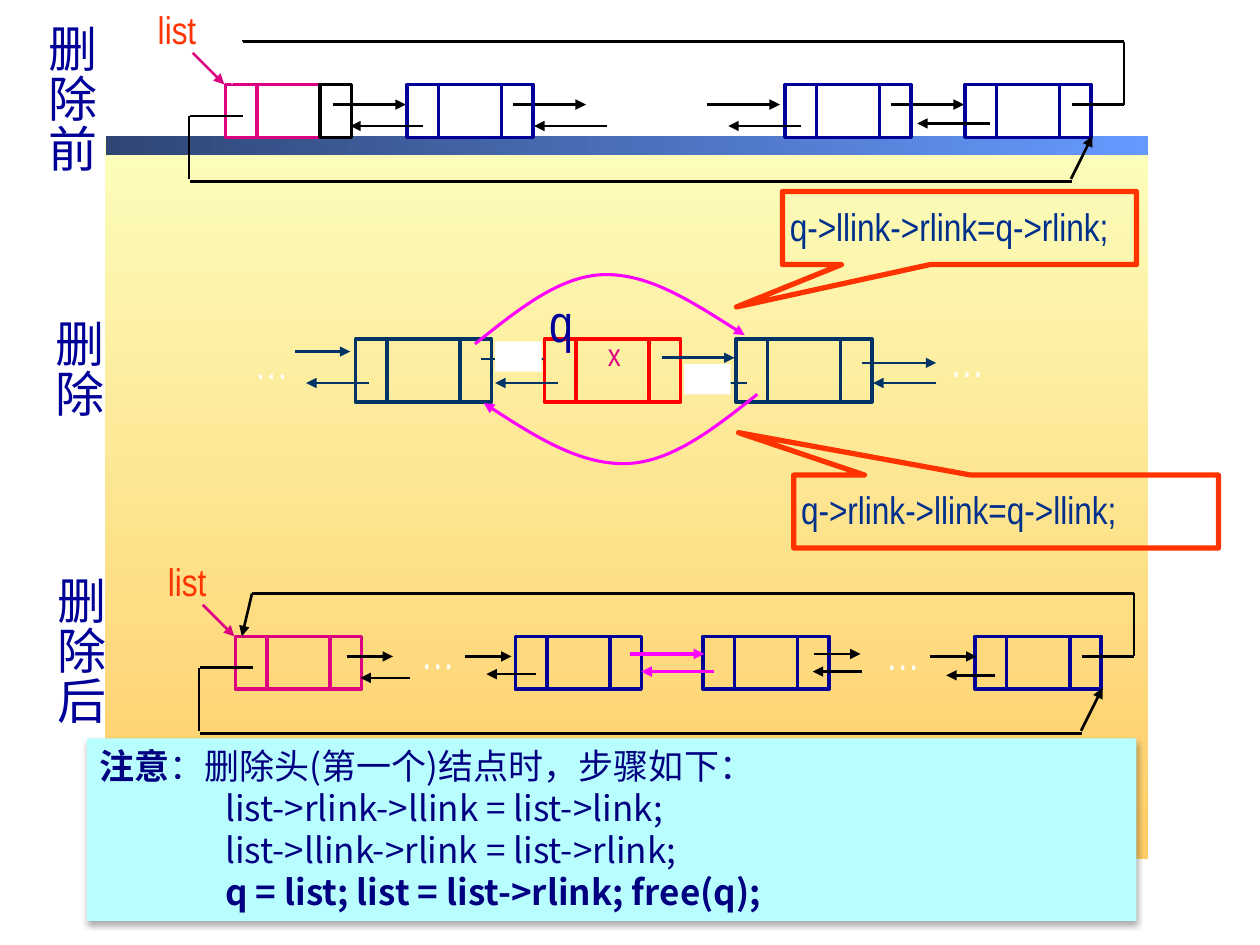
from dataclasses import dataclass

from lxml import etree
from pptx import Presentation
from pptx.dml.color import RGBColor
from pptx.enum.shapes import MSO_CONNECTOR, MSO_SHAPE
from pptx.enum.text import MSO_ANCHOR, PP_ALIGN
from pptx.oxml.ns import qn
from pptx.util import Inches, Pt

RECTANGLE, CALLOUT = MSO_SHAPE.RECTANGLE, MSO_SHAPE.RECTANGULAR_CALLOUT
STRAIGHT = MSO_CONNECTOR.STRAIGHT
LEFT, CENTER, JUSTIFY = PP_ALIGN.LEFT, PP_ALIGN.CENTER, PP_ALIGN.JUSTIFY
TOP = MSO_ANCHOR.TOP

# The slide is a grid of 100 columns by 75 rows of square cells
COLUMNS, ROWS = 100, 75
CELL = Inches(0.1)


@dataclass(frozen=True)
class Theme:
    latin: str = "Arial Narrow"
    asian: str = "Noto Sans CJK SC"
    black: str = "000000"
    white: str = "FFFFFF"
    navy: str = "000099"
    teal: str = "003366"
    head: str = "DC0081"
    deleted: str = "FF0000"
    relinked: str = "FF00FF"
    accent: str = "FF3300"
    code: str = "002F8C"
    note: str = "000080"
    note_fill: str = "B9FEFF"
    panel: tuple = ("FCFEBC", "FFCC66")
    bar: tuple = ("2F4675", "6699FF")
    caption_size: int = 28
    pointer_size: int = 30
    dots_size: int = 24
    label_size: int = 22
    note_size: int = 20
    value_size: int = 18
    thin: float = 1.5
    curve: float = 1.75
    edge: float = 2
    callout: float = 3


@dataclass(frozen=True)
class Node:
    """A list node: left link, data and right link."""
    left: float
    top: float
    color: str
    data: float = 5
    height: float = 4.2
    right_color: str = ""


@dataclass(frozen=True)
class Arrow:
    """A horizontal link from one column to another."""
    start: float
    end: float
    row: float


THEME = Theme()
LINK = 2.5
deck = Presentation()
deck.slide_width, deck.slide_height = CELL * COLUMNS, CELL * ROWS
page = deck.slides.add_slide(deck.slide_layouts[6])


def grid(*cells: float) -> list[int]:
    return [round(cell * CELL) for cell in cells]


def rgb(color: str) -> RGBColor:
    return RGBColor.from_string(color)


def style_line(line, color: str, width: float, arrow: bool = False) -> None:
    line.color.rgb, line.width = rgb(color), Pt(width)
    if arrow:
        etree.SubElement(line._get_or_add_ln(), qn("a:tailEnd"), type="triangle")


def add_box(area: tuple, fill="", line: str = "", width: float = THEME.edge, kind=RECTANGLE):
    """fill is one colour, a pair for a gradient, or empty."""
    box = page.shapes.add_shape(kind, *grid(*area))
    box.shadow.inherit = False
    if isinstance(fill, tuple):
        box.fill.gradient()
        for stop, color in zip(box.fill.gradient_stops, fill):
            stop.color.rgb = rgb(color)
    elif fill:
        box.fill.solid()
        box.fill.fore_color.rgb = rgb(fill)
    else:
        box.fill.background()
    if line:
        style_line(box.line, line, width)
    else:
        box.line.fill.background()
    return box


def add_line(x1: float, y1: float, x2: float, y2: float, color: str = THEME.black,
             width: float = THEME.thin, arrow: bool = False) -> None:
    line = page.shapes.add_connector(STRAIGHT, *grid(x1, y1, x2, y2))
    etree.SubElement(line.element.spPr, qn("a:effectLst"))
    style_line(line.line, color, width, arrow)


def add_arrows(arrows: list[Arrow], color: str = THEME.black, width: float = THEME.thin) -> None:
    for link in arrows:
        add_line(link.start, link.row, link.end, link.row, color, width, True)


def add_node(node: Node) -> None:
    right = node.left + LINK + node.data
    for left, width, color in ((node.left + LINK, node.data, node.color),
                               (right, LINK, node.right_color or node.color),
                               (node.left, LINK, node.color)):
        add_box((left, node.top, width, node.height), line=color)


def style_span(span, size: float, color: str, latin: str, bold: bool = False) -> None:
    span.font.size, span.font.bold, span.font.name = Pt(size), bold, latin
    span.font.color.rgb = rgb(color)
    etree.SubElement(span.font._element, qn("a:ea"), typeface=THEME.asian)


def add_text(text: str, area: tuple, size: float, color: str, align=CENTER,
             wrap: bool = False, spacing: float = 1) -> None:
    frame = page.shapes.add_textbox(*grid(*area)).text_frame
    frame.word_wrap = wrap
    frame.text = text
    for para in frame.paragraphs:
        para.alignment, para.line_spacing = align, spacing
        for span in para.runs:
            style_span(span, size, color, THEME.latin)


def add_caption(text: str, area: tuple, wrap: bool = False) -> None:
    add_text(text, area, THEME.caption_size, THEME.navy, wrap=wrap, spacing=0.85)


def add_dots(left: float, top: float) -> None:
    add_text("…", (left, top, 5.3, 5), THEME.dots_size, THEME.white)


def add_curve(start: tuple, *points: tuple) -> None:
    """Cubic curve: each three points are two controls and an end."""
    builder = page.shapes.build_freeform(*grid(*start))
    builder.add_line_segments([grid(*point) for point in points], close=False)
    shape = builder.convert_to_shape()
    shape.shadow.inherit = False
    shape.fill.background()
    style_line(shape.line, THEME.relinked, THEME.curve, True)
    outline = next(shape.element.iter(qn("a:path")))
    segments = outline.findall(qn("a:lnTo"))
    for first in range(0, len(segments), 3):
        cubic = etree.SubElement(outline, qn("a:cubicBezTo"))
        for segment in segments[first:first + 3]:
            cubic.append(segment[0])
            outline.remove(segment)


def add_ring(dx: float, dy: float, return_color: str) -> None:
    """The head label and the two wires that close the circular list."""
    add_text("list", (11.1 + dx, dy, 5.9, 4.7), THEME.label_size, THEME.accent)
    for x1, y1, x2, y2, color, arrow in (
            (15.3, 4.2, 17.8, 6.7, THEME.head, True),
            (85.1, 8.3, 89.2, 8.3, THEME.black, False),
            (19.2, 3.3, 89.2, 3.3, THEME.black, False),
            (89.2, 3.3, 89.2, 8.3, THEME.black, False),
            (19.2, 3.3, 18.4, 6.7, return_color, True),
            (15.1, 9.2, 19.3, 9.2, THEME.black, False),
            (15.1, 14.4, 85.1, 14.4, THEME.black, False),
            (15, 9.2, 15, 14.2, THEME.black, False),
            (85, 14.2, 86.7, 10.8, THEME.black, True)):
        add_line(x1 + dx, y1 + dy, x2 + dx, y2 + dy, color, arrow=arrow)


def add_callout(text: str, area: tuple, tip: tuple, text_width: float) -> None:
    box = add_box(area, line=THEME.accent, width=THEME.callout, kind=CALLOUT)
    box.adjustments[0], box.adjustments[1] = tip
    add_text(text, (area[0] - 0.4, area[1] + 0.4, text_width, 4.7),
             THEME.label_size, THEME.code, LEFT, True)


# Background panel and bar
add_box((8.3, 11, 82.8, 57.2), THEME.panel).fill.gradient_angle = 270
add_box((8.4, 10.8, 82.7, 1.5), THEME.bar).fill.gradient_angle = 0

# Before the deletion
add_arrows([Arrow(x, x + 5.8, 8.3) for x in (26.4, 40.7, 56.1, 70.7)])
add_node(Node(17.9, 6.7, THEME.head, right_color=THEME.black))
for column in (32.3, 62.3, 76.6):
    add_node(Node(column, 6.7, THEME.navy))
add_arrows([Arrow(x, x - 5.8, 10) for x in (33.6, 48.2, 63.6)] + [Arrow(78.6, 72.8, 9.8)])
add_dots(50.1, 5.8)
add_ring(0, 0, THEME.white)
add_caption("删\n除\n前", (2.8, 1.7, 6, 13))

# During the deletion
for column, color in ((28.2, THEME.teal), (58.4, THEME.teal), (43.2, THEME.deleted)):
    add_node(Node(column, 26.9, color, 5.8, 5))
add_text("x", (46.8, 26.1, 3.9, 5.5), THEME.value_size, THEME.head)
add_text("q", (42.6, 22.5, 3.6, 4.3), THEME.pointer_size, THEME.navy)
add_arrows([Arrow(x, x - 5, 30.4) for x in (74.3, 44.3, 59.3, 29.3)]
           + [Arrow(52.5, 58.3, 28.4), Arrow(68.4, 74.3, 28.8),
              Arrow(38.2, 43.2, 28.5), Arrow(23.4, 27.8, 27.9)], THEME.teal)
add_dots(18.9, 26.3)
add_dots(74.1, 26.1)
add_caption("删除", (3.4, 25.1, 5.8, 9), wrap=True)

# Cut links and the curves that replace them
for column, row in ((39.3, 27.1), (54.3, 28.9)):
    add_box((column, row, 3.7, 2.4), THEME.white)
add_curve((37.7, 27.3), (41.1, 24.6), (44.4, 21.9), (47.9, 21.8),
          (51.5, 21.7), (55.3, 24.2), (59.1, 26.6))
add_curve((60.1, 31.3), (56.7, 34), (53.3, 36.7), (49.7, 36.8),
          (46.1, 36.9), (42.2, 34.5), (38.4, 32))
add_callout("q->llink->rlink=q->rlink;", (62.1, 15.2, 28.1, 5.8), (-0.63, 1.08), 35.4)
add_callout("q->rlink->llink=q->llink;", (63, 37.7, 33.7, 5.8), (-0.63, -1.08), 37.4)

# After the deletion
for column, color in ((18.7, THEME.head), (40.9, THEME.navy),
                      (55.8, THEME.navy), (77.4, THEME.navy)):
    add_node(Node(column, 50.5, color))
add_arrows([Arrow(x, x + 3.7, row) for x, row in
            ((27.5, 52.1), (36.9, 52.1), (64.6, 51.9), (73.8, 52.1))]
           + [Arrow(x, x - 3.9, row) for x, row in
              ((32.5, 53.8), (42.5, 53.5), (68.4, 53.3), (79, 53.6))])
add_arrows([Arrow(50, 55.9, 51.9), Arrow(56.7, 50.9, 53.3)], THEME.relinked, THEME.edge)
add_dots(32.1, 49.3)
add_dots(69, 49.4)
add_ring(0.8, 43.8, THEME.black)
add_caption("删\n除\n后", (3.5, 45.5, 6, 13))

# Note on deleting the head node
note = add_box((6.9, 58.6, 83.3, 14.5), THEME.note_fill)
shadow = etree.SubElement(note.element.spPr.find(qn("a:effectLst")), qn("a:outerShdw"),
                          blurRad=str(Pt(3.5)), dist=str(Pt(2.2)), dir="5400000")
shade = etree.SubElement(shadow, qn("a:srgbClr"), val=THEME.black)
etree.SubElement(shade, qn("a:alpha"), val="32000")
frame = note.text_frame
frame.word_wrap, frame.vertical_anchor = True, TOP
frame.text = ("注意\nlist->rlink->llink = list->link;\nlist->llink->rlink = list->rlink;\n"
              "q = list; list = list->rlink; free(q);")
frame.paragraphs[0].add_run().text = "：删除头(第一个)结点时，步骤如下："
for number, para in enumerate(frame.paragraphs):
    para.alignment, para.line_spacing = JUSTIFY, Pt(24)
    if number:
        para.level = 1
        para._p.get_or_add_pPr().set("marL", str(CELL * 10))
        para._p.get_or_add_pPr().set("indent", "0")
    for place, span in enumerate(para.runs):
        style_span(span, THEME.note_size, THEME.note, THEME.asian,
                   (number, place) in ((0, 0), (3, 0)))

deck.save("out.pptx")
